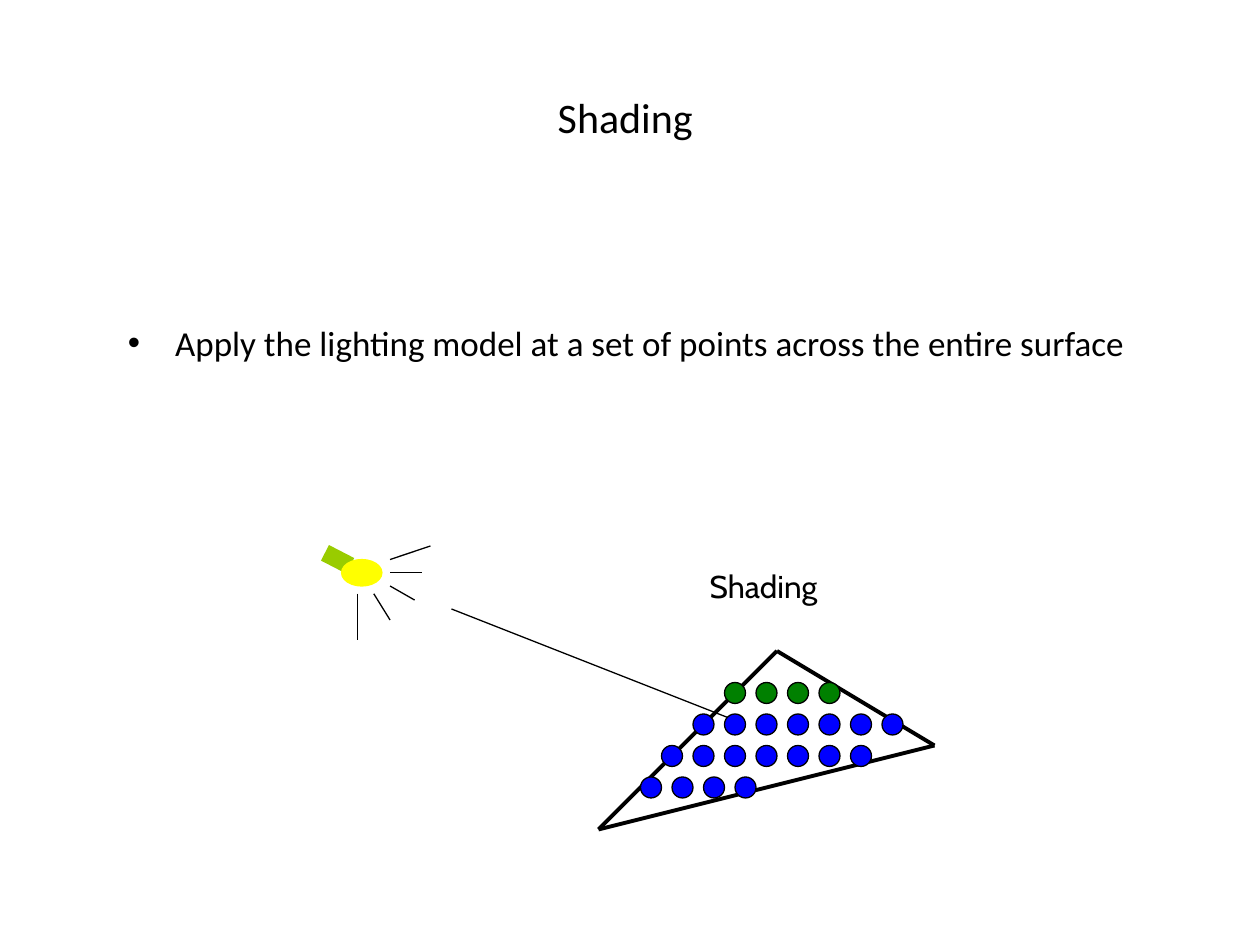
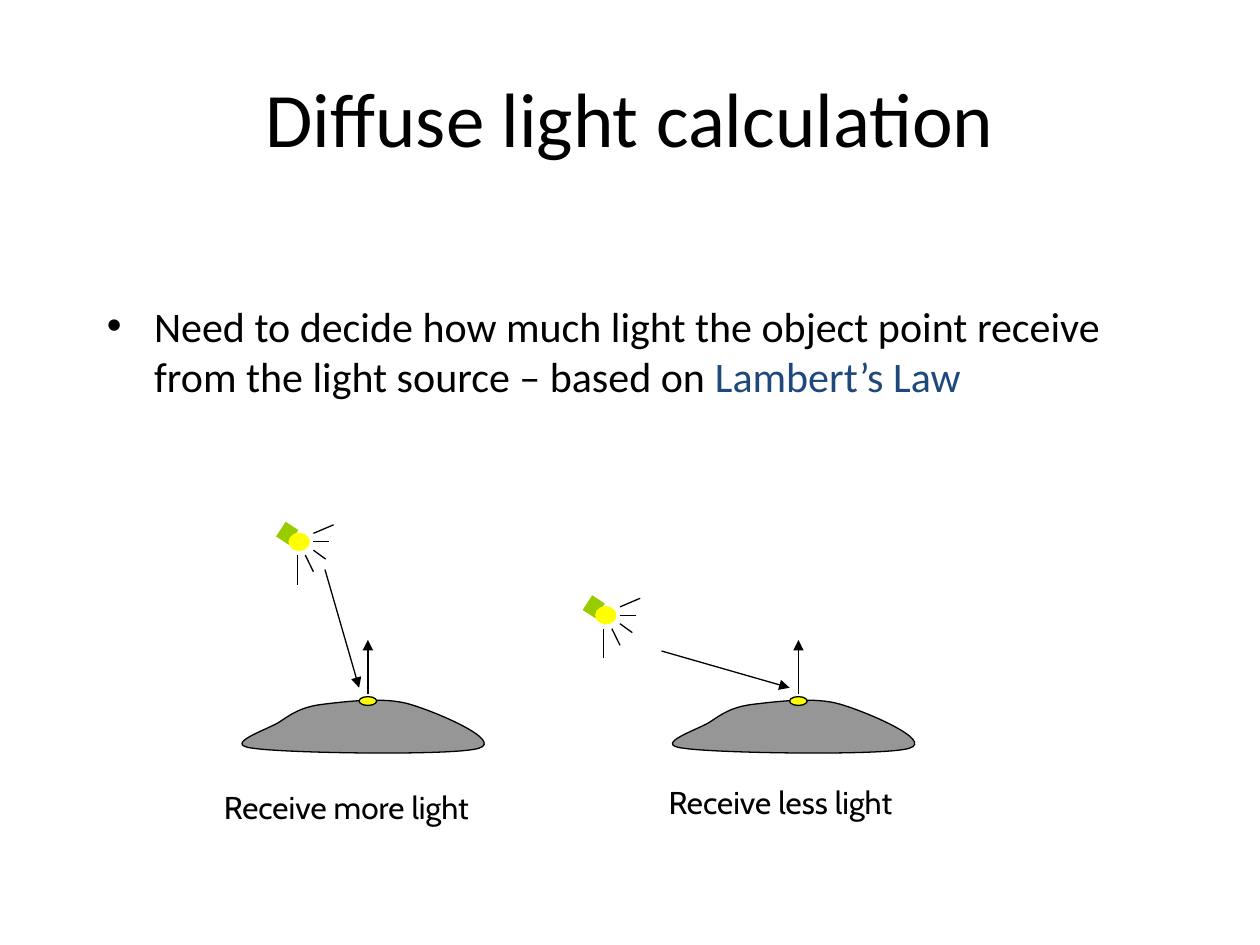
from lxml import etree
from pptx import Presentation
from pptx import util as u
from pptx.dml.color import RGBColor
from pptx.enum import shapes, text
from pptx.oxml import ns

BLACK = RGBColor(0x00, 0x00, 0x00)
BLUE = RGBColor(0x00, 0x00, 0xFF)
GREEN = RGBColor(0x00, 0x80, 0x00)
LAMP_GREEN = RGBColor(0x99, 0xCC, 0x00)
YELLOW = RGBColor(0xFF, 0xFF, 0x00)
GREY = RGBColor(0x96, 0x96, 0x96)
NAVY = RGBColor(0x1F, 0x49, 0x7D)

COLUMNS, ROWS = 120, 90
TEXT_FONT, LABEL_FONT = "Calibri", "Cabin"

LAMP_HANDLE = (-1.1, -0.66, -3.5, -1.9)
LAMP_BULB = (3.84, 2.52)
LAMP_RAYS = [
    (2.7, -1.26, 6.55, -2.55),
    (2.7, 0, 5.76, 0),
    (2.7, 1.26, 5.04, 2.6),
    (1.15, 2, 2.7, 4.5),
    (-0.38, 2, -0.38, 6.45),
]
HILL_START = (3.12, 4.92)
HILL_CURVES = [
    (0, 4.56), (4.56, 3.12), (5.64, 2.4),
    (6.72, 1.68), (7.68, 0.96), (9.84, 0.72),
    (11.88, 0.48), (15.6, 0), (18, 0.72),
    (20.52, 1.44), (27, 4.2), (24.6, 4.92),
    (22.32, 5.64), (6.36, 5.4), HILL_START,
]


class Deck:
    def __init__(self):
        self.presentation = Presentation()
        self.presentation.slide_width = u.Inches(10)
        self.presentation.slide_height = u.Inches(7.5)
        self.column = self.presentation.slide_width / COLUMNS
        self.row = self.presentation.slide_height / ROWS
        self.slide = None
        self.canvas = None

    def place(self, x, y):
        return u.Emu(round(x * self.column)), u.Emu(round(y * self.row))

    def font(self, paragraph, name, size):
        paragraph.font.name = name
        paragraph.font.size = u.Pt(size)
        paragraph.font.color.rgb = BLACK

    def add_slide(self, title, size):
        self.slide = self.presentation.slides.add_slide(self.presentation.slide_layouts[5])
        self.end_group()
        shape = self.slide.shapes.title
        shape.left, shape.top = self.place(6, 3.6)
        shape.width, shape.height = self.place(108, 15)
        frame = shape.text_frame
        frame.text = title
        frame.auto_size = text.MSO_AUTO_SIZE.NONE
        frame.vertical_anchor = text.MSO_ANCHOR.MIDDLE
        paragraph = frame.paragraphs[0]
        paragraph.alignment = text.PP_ALIGN.CENTER
        self.font(paragraph, TEXT_FONT, size)

    def begin_group(self):
        self.canvas = self.slide.shapes.add_group_shape().shapes

    def end_group(self):
        self.canvas = self.slide.shapes

    def text_box(self, x, y, width, height):
        box = self.canvas.add_textbox(*self.place(x, y), *self.place(width, height))
        return box.text_frame

    def bullet(self, x, y, size, wording, highlight=None):
        frame = self.text_box(x, y, 102, 54)
        frame.word_wrap = True
        paragraph = frame.paragraphs[0]
        properties = paragraph._p.get_or_add_pPr()
        properties.set("marL", str(u.Pt(27)))
        properties.set("indent", str(u.Pt(-27)))
        etree.SubElement(properties, ns.qn("a:buFont"), typeface="Arial")
        etree.SubElement(properties, ns.qn("a:buChar"), char="•")
        self.font(paragraph, TEXT_FONT, size)
        paragraph.add_run().text = wording
        if highlight:
            run = paragraph.add_run()
            run.text = highlight
            run.font.color.rgb = NAVY

    def label(self, x, y, width, wording):
        frame = self.text_box(x, y, width, 4.8)
        frame.word_wrap = False
        frame.auto_size = text.MSO_AUTO_SIZE.SHAPE_TO_FIT_TEXT
        frame.text = wording
        self.font(frame.paragraphs[0], LABEL_FONT, 18)

    def line(self, x1, y1, x2, y2, width=0.75, color=BLACK, arrow=False):
        connector = self.canvas.add_connector(
            shapes.MSO_CONNECTOR.STRAIGHT, *self.place(x1, y1), *self.place(x2, y2))
        connector.line.color.rgb = color
        connector.line.width = u.Pt(width)
        properties = connector._element.spPr
        if arrow:
            etree.SubElement(properties.find(ns.qn("a:ln")), ns.qn("a:tailEnd"), type="triangle")
        etree.SubElement(properties, ns.qn("a:effectLst"))

    def paint(self, shape, fill, outline=BLACK):
        shape.shadow.inherit = False
        shape.fill.solid()
        shape.fill.fore_color.rgb = fill
        shape.line.color.rgb = outline
        shape.line.width = u.Pt(0.75)

    def ellipse(self, x, y, width, height, fill, outline=BLACK):
        shape = self.canvas.add_shape(
            shapes.MSO_SHAPE.OVAL, *self.place(x, y), *self.place(width, height))
        self.paint(shape, fill, outline)

    def lamp(self, x, y, scale_x=1, scale_y=1):
        def scaled(x1, y1, x2, y2):
            return x + x1 * scale_x, y + y1 * scale_y, x + x2 * scale_x, y + y2 * scale_y

        self.line(*scaled(*LAMP_HANDLE), width=10, color=LAMP_GREEN)
        width, height = LAMP_BULB[0] * scale_x, LAMP_BULB[1] * scale_y
        self.ellipse(x - width / 2, y - height / 2, width, height, YELLOW, YELLOW)
        for ray in LAMP_RAYS:
            self.line(*scaled(*ray))

    def hill(self, x, y):
        start, *points = [self.place(x + dx, y + dy) for dx, dy in [HILL_START, *HILL_CURVES]]
        builder = self.canvas.build_freeform(*start)
        builder.add_line_segments(points, close=True)
        shape = builder.convert_to_shape()
        segments = list(shape._element.iter(ns.qn("a:lnTo")))
        for index in range(0, len(points), 3):
            curve = etree.Element(ns.qn("a:cubicBezTo"))
            segments[index].addprevious(curve)
            for segment in segments[index:index + 3]:
                curve.append(segment[0])
                segment.getparent().remove(segment)
        self.paint(shape, GREY)

    def hill_with_normal(self, x, y):
        self.hill(x, y)
        self.line(x + 14.04, y - 0.24, x + 14.04, y - 5.4, width=1, arrow=True)

    def light_on_hill(self, x, y, light_x, light_y):
        self.line(light_x, light_y, x + 13.2, y - 0.85, arrow=True)
        self.ellipse(x + 13.2, y, 1.68, 0.84, YELLOW)


def shading_slide(deck):
    deck.add_slide("Shading ", 24)
    deck.bullet(11, 30, 20, "Apply the lighting model at a set of points across the entire surface")
    corners = [(57, 79), (74, 62), (89, 71)]
    deck.begin_group()
    for index, corner in enumerate(corners):
        deck.line(*corner, *corners[(index + 1) % 3], width=2.25)
    deck.begin_group()
    deck.lamp(34.45, 54.55)
    deck.end_group()
    deck.line(43, 58, 71, 69, arrow=True)
    deck.label(66.4, 53.4, 13.9, "Shading")
    dot_rows = [(61, 4, BLUE), (63, 7, BLUE), (66, 7, BLUE), (69, 4, GREEN)]
    for level, (start, count, color) in enumerate(dot_rows):
        for index in range(count):
            deck.ellipse(start + 3 * index, 74 - 3 * level, 2, 2, color)


def diffuse_slide(deck):
    deck.add_slide("Diffuse light calculation", 44)
    deck.bullet(9, 28, 24, "Need to decide how much light the object point receive "
                "from the light source – based on ", "Lambert’s Law")
    small = {"scale_x": 0.5, "scale_y": 0.635}
    near_hill, far_hill = (21, 66.35), (62, 66.35)

    deck.begin_group()
    deck.hill_with_normal(*near_hill)
    deck.lamp(28.5, 51.6, **small)
    deck.light_on_hill(*near_hill, 30.95, 54.25)
    deck.end_group()
    deck.label(20.15, 74.45, 29.3, "Receive more light")

    deck.hill_with_normal(*far_hill)
    deck.begin_group()
    deck.lamp(57.7, 58.6, **small)
    deck.end_group()
    deck.light_on_hill(*far_hill, 63, 62)
    deck.label(62.5, 74, 27.1, "Receive less light")


def main():
    deck = Deck()
    shading_slide(deck)
    diffuse_slide(deck)
    deck.presentation.save("out.pptx")


if __name__ == "__main__":
    main()
